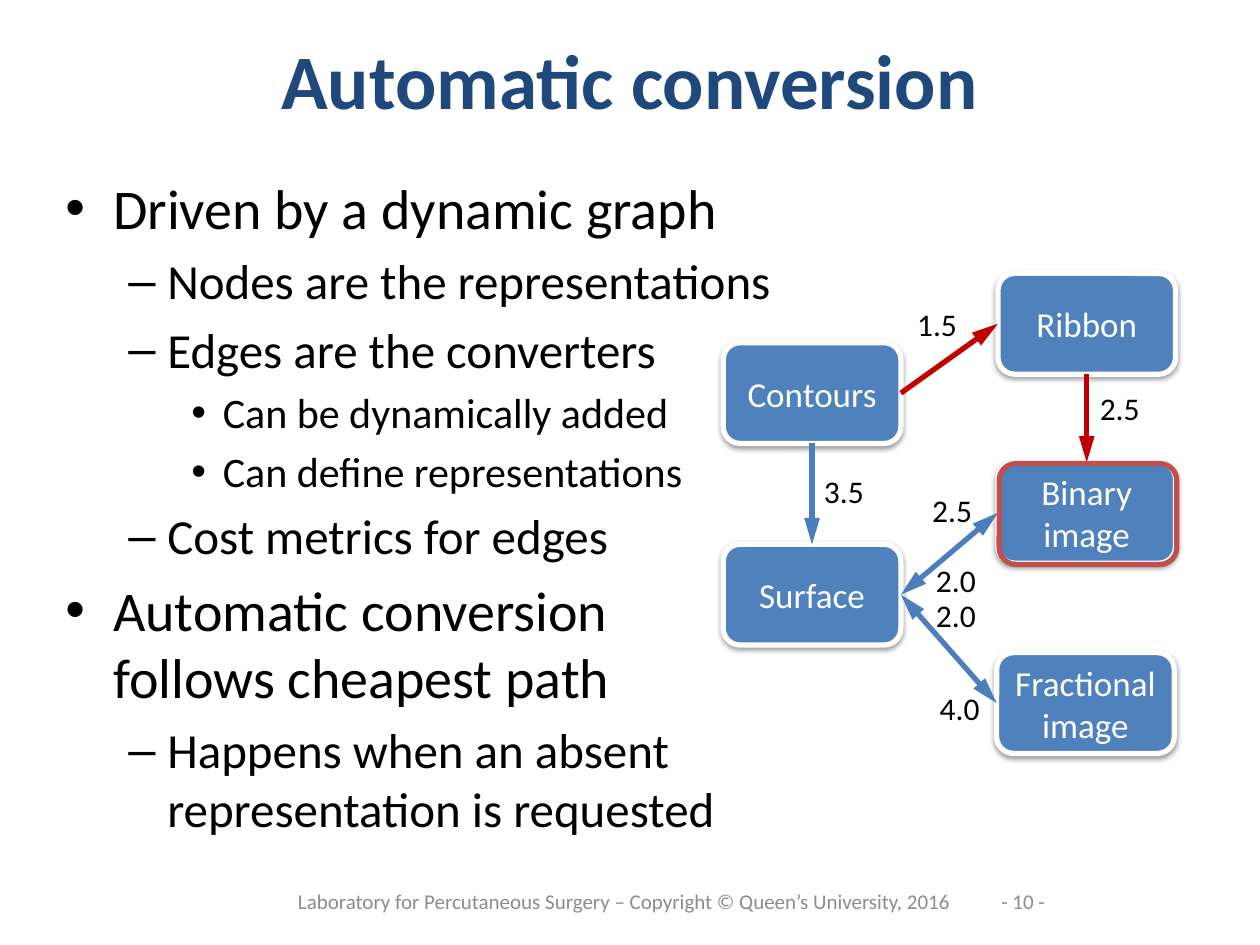
import pptx
import pptx.util
import pptx.dml.color
import pptx.enum.shapes
import pptx.enum.text
import pptx.oxml
import pptx.oxml.ns
from lxml import etree

Inches, Pt = pptx.util.Inches, pptx.util.Pt
qn = pptx.oxml.ns.qn
RGB = pptx.dml.color.RGBColor.from_string
ALIGN = pptx.enum.text.PP_ALIGN
ANCHOR = pptx.enum.text.MSO_ANCHOR
ROUNDED = pptx.enum.shapes.MSO_SHAPE.ROUNDED_RECTANGLE
STRAIGHT = pptx.enum.shapes.MSO_CONNECTOR.STRAIGHT

COLORS = {
    "title": "1F497D", "text": "000000", "footer": "8C8C8C",
    "node": "4F81BD", "white": "FFFFFF", "edge": "4B7EBC",
    "cheapest": "C00000", "target": "C0504D",
}
NODE_SIZE = (1.41, 0.8)

deck = pptx.Presentation()
deck.slide_width, deck.slide_height = Inches(10), Inches(7.5)
page = deck.slides.add_slide(deck.slide_layouts[6])


def write(paragraph, text, size, color, bold=False, align=ALIGN.LEFT):
    """Put one formatted run into the paragraph."""
    paragraph.alignment = align
    span = paragraph.add_run()
    span.text = text
    styles = {"name": "Calibri", "size": Pt(size), "bold": bold}
    for name, value in styles.items():
        setattr(span.font, name, value)
    span.font.color.rgb = RGB(COLORS[color])


def add_text_frame(left, top, width, height, anchor=ANCHOR.TOP):
    box = page.shapes.add_textbox(*map(Inches, (left, top, width, height)))
    box.text_frame.word_wrap = True
    box.text_frame.vertical_anchor = anchor
    return box.text_frame


# Outline: level and text
outline = [
    (0, "Driven by a dynamic graph"),
    (1, "Nodes are the representations"),
    (1, "Edges are the converters"),
    (2, "Can be dynamically added"),
    (2, "Can define representations"),
    (1, "Cost metrics for edges"),
    (0, "Automatic conversion follows cheapest path"),
    (1, "Happens when an absent representation is requested"),
]
# For each level: left margin, hanging indent, bullet, text size
levels = [(0.38, 0.38, "•", 32), (0.81, 0.31, "–", 28), (1.25, 0.25, "•", 24)]

frame = add_text_frame(0.42, 1.33, 5.83, 5.28)
for index, (level, text) in enumerate(outline):
    margin, hanging, bullet, size = levels[level]
    para = frame.add_paragraph() if index else frame.paragraphs[0]
    para.level = level
    properties = para._p.get_or_add_pPr()
    properties.set("marL", str(Inches(margin)))
    properties.set("indent", str(-Inches(hanging)))
    etree.SubElement(properties, qn("a:buFont"), typeface="Arial")
    etree.SubElement(properties, qn("a:buChar"), char=bullet)
    if index:
        para.space_before = Pt(0.2 * size)
    write(para, text, size, "text")

# Title and footer
captions = [
    ((0.5, 0, 9, 1.25), "Automatic conversion", 44, "title", True),
    ((7.83, 6.95, 0.58, 0.4), "- 10 -", 12, "footer", False),
    ((2.08, 6.95, 5.75, 0.4),
     "Laboratory for Percutaneous Surgery – Copyright © Queen’s University, 2016",
     12, "footer", False),
]
for place, text, size, color, bold in captions:
    frame = add_text_frame(*place, anchor=ANCHOR.MIDDLE)
    write(frame.paragraphs[0], text, size, color, bold, ALIGN.CENTER)

# Graph nodes
positions = {
    "Contours": (5.74, 2.72), "Ribbon": (7.92, 2.17),
    "Binary image": (7.92, 3.67), "Surface": (5.74, 4.32),
    "Fractional image": (7.91, 5.18),
}
nodes = {}
for name, position in positions.items():
    node = page.shapes.add_shape(ROUNDED, *map(Inches, position + NODE_SIZE))
    node.fill.solid()
    node.fill.fore_color.rgb = RGB(COLORS["node"])
    node.line.color.rgb = RGB(COLORS["white"])
    node.line.width = Pt(3)
    node.shadow.inherit = False
    effects = node._element.spPr.find(qn("a:effectLst"))
    shadow = etree.SubElement(
        effects, qn("a:outerShdw"), blurRad=str(Pt(3.1)), dist=str(Pt(1.6)),
        dir=str(90 * 60000), rotWithShape="0")
    shade = etree.SubElement(shadow, qn("a:srgbClr"), val=COLORS["text"])
    etree.SubElement(shade, qn("a:alpha"), val="38000")
    node.text_frame.word_wrap = True
    node.text_frame.vertical_anchor = ANCHOR.MIDDLE
    write(node.text_frame.paragraphs[0], name, 20, "white", align=ALIGN.CENTER)
    nodes[name] = node

# Graph edges: start, side, end, side, colour, arrowheads
TOP, LEFT, BOTTOM, RIGHT = range(4)
one_way, two_way = ["tailEnd"], ["headEnd", "tailEnd"]
edges = [
    ("Contours", BOTTOM, "Surface", TOP, "edge", one_way),
    ("Surface", RIGHT, "Binary image", LEFT, "edge", two_way),
    ("Surface", RIGHT, "Fractional image", LEFT, "edge", two_way),
    ("Contours", RIGHT, "Ribbon", LEFT, "cheapest", one_way),
    ("Ribbon", BOTTOM, "Binary image", TOP, "cheapest", one_way),
]
for start, start_side, end, end_side, color, heads in edges:
    edge = page.shapes.add_connector(STRAIGHT, 0, 0, 0, 0)
    edge.begin_connect(nodes[start], start_side)
    edge.end_connect(nodes[end], end_side)
    edge.line.color.rgb = RGB(COLORS[color])
    edge.line.width = Pt(3)
    for head in heads:
        etree.SubElement(edge.line._get_or_add_ln(), qn("a:" + head),
                         type="triangle", w="med", len="lg")
    etree.SubElement(edge._element.spPr, qn("a:effectLst"))

# Outline around the requested representation
target = page.shapes.add_shape(ROUNDED, *map(Inches, (7.93, 3.68) + NODE_SIZE))
target.fill.background()
target.line.color.rgb = RGB(COLORS["target"])
target.line.width = Pt(3)
target.shadow.inherit = False

# Edge costs
costs = [
    (7.18, 2.37, "1.5"), (8.63, 3.04, "2.5"), (6.44, 3.7, "3.5"),
    (7.3, 3.85, "2.5"), (7.33, 4.4, "2.0"), (7.36, 5.42, "4.0"),
    (7.33, 4.68, "2.0"),
]
for left, top, cost in costs:
    write(add_text_frame(left, top, 0.92, 0.8).paragraphs[0], cost, 18, "text")

deck.save("out.pptx")
